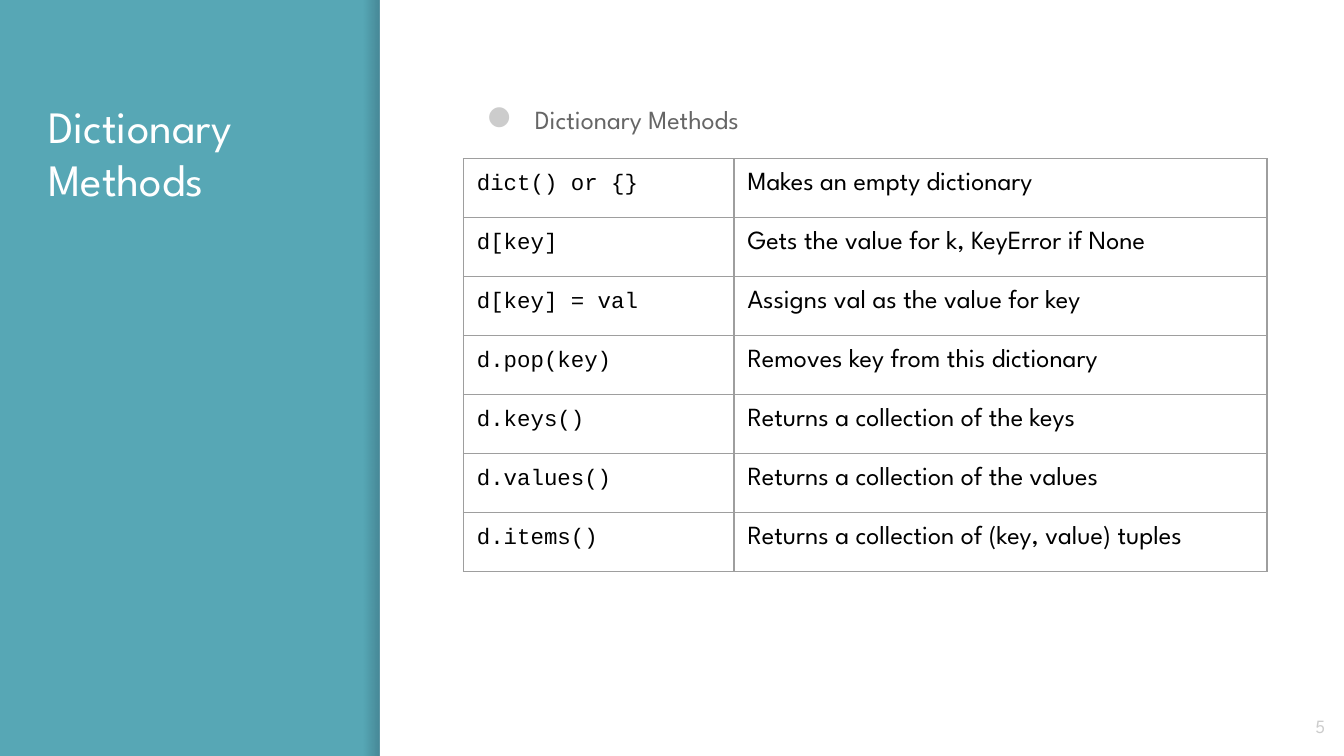
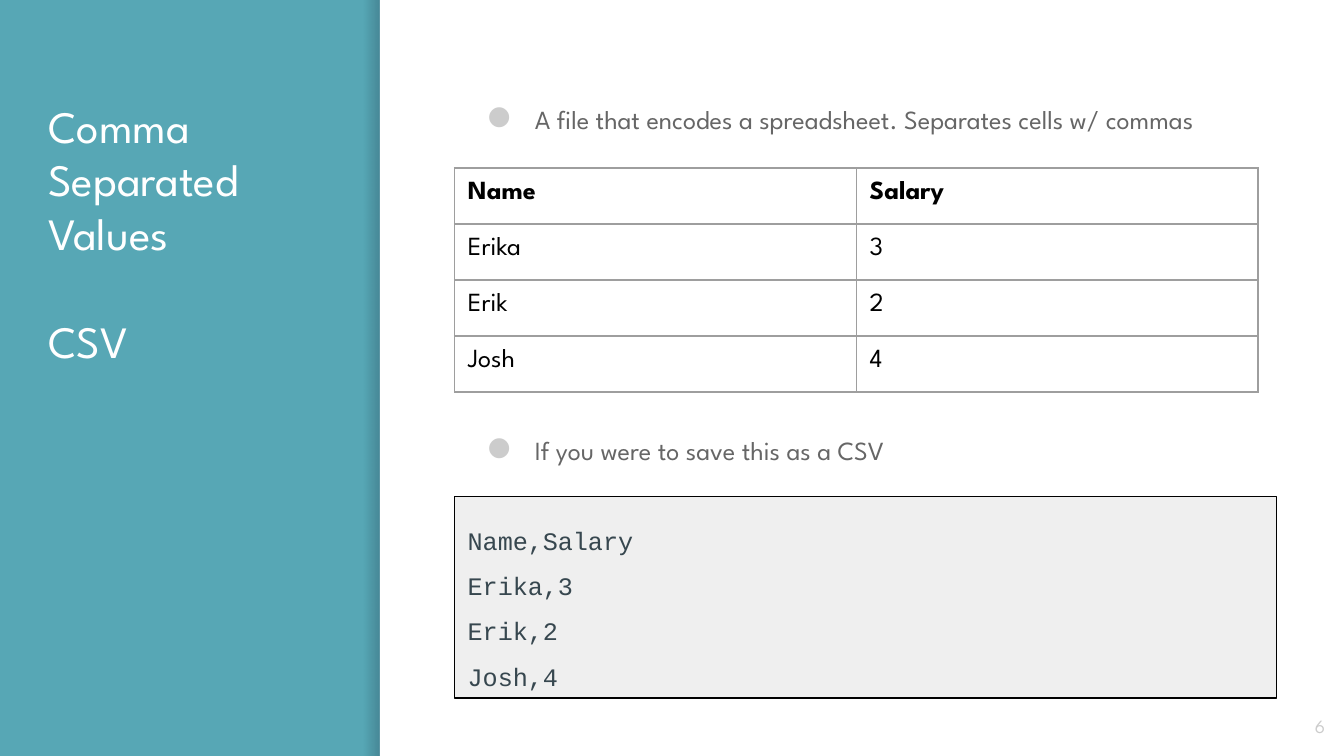
from pptx import Presentation
from pptx.dml.color import RGBColor
from pptx.enum.shapes import MSO_SHAPE
from pptx.enum.text import MSO_ANCHOR, MSO_AUTO_SIZE, PP_ALIGN
from pptx.oxml.ns import qn
from pptx.util import Pt
from lxml.etree import SubElement

TEAL = "57A7B5"
WHITE = "FFFFFF"
BLACK = "000000"
SHADE = "000014"
BODY_GREY = "666666"
PALE_GREY = "CCCCCC"
BORDER_GREY = "9E9E9E"
CODE_FILL = "EFEFEF"
CODE_TEXT = "37474F"

SANS = "League Spartan"
MONO = "Courier New"

SLIDE_WIDTH = 720
SLIDE_HEIGHT = 405
PANEL_LEFT = 203.5
SHADOW_WIDTH = 9
INSET = 7.2
CONTENT_LEFT = 243.5
CONTENT_TOP = 45.5
CONTENT_WIDTH = 440.5
CONTENT_HEIGHT = 313


def color(value):
    return RGBColor.from_string(value)


def style_text(para, size, shade, font=SANS, bold=False):
    for span in para.runs:
        span.font.name = font
        span.font.size = Pt(size)
        span.font.bold = bold
        span.font.color.rgb = color(shade)


def set_frame(frame, anchor=MSO_ANCHOR.TOP):
    frame.word_wrap = True
    frame.auto_size = MSO_AUTO_SIZE.NONE
    frame.vertical_anchor = anchor
    frame.margin_left = frame.margin_right = Pt(INSET)
    frame.margin_top = frame.margin_bottom = Pt(INSET)


def add_rectangle(page, left, top, width, height):
    box = page.shapes.add_shape(MSO_SHAPE.RECTANGLE, Pt(left), Pt(top), Pt(width), Pt(height))
    box.shadow.inherit = False
    box.line.fill.background()
    return box


def add_panel(page):
    shadow = add_rectangle(page, PANEL_LEFT - SHADOW_WIDTH, 0, SHADOW_WIDTH, SLIDE_HEIGHT)
    shadow.fill.gradient()
    shadow.fill.gradient_angle = 0
    for stop, opacity in zip(shadow.fill.gradient_stops, (0, 20)):
        stop.color.rgb = color(SHADE)
    for tint, opacity in zip(shadow._element.iter(qn("a:srgbClr")), (0, 20)):
        SubElement(tint, qn("a:alpha")).set("val", str(opacity * 1000))
    panel = add_rectangle(page, PANEL_LEFT, 0, SLIDE_WIDTH - PANEL_LEFT, SLIDE_HEIGHT)
    panel.fill.solid()
    panel.fill.fore_color.rgb = color(WHITE)


def set_title(page, lines):
    title = page.shapes.title
    title.left, title.top = Pt(18.75), Pt(CONTENT_TOP)
    title.width, title.height = Pt(161.25), Pt(CONTENT_HEIGHT)
    frame = title.text_frame
    set_frame(frame)
    frame.text = "\n".join(lines)
    for index, para in enumerate(frame.paragraphs):
        para.alignment = PP_ALIGN.LEFT
        para.line_spacing = 1.0
        para.space_before = Pt(29 if index else 0)
        style_text(para, 24, WHITE)


def add_page_number(page, number):
    box = page.shapes.add_textbox(Pt(674), Pt(373.5), Pt(43), Pt(31))
    set_frame(box.text_frame, MSO_ANCHOR.MIDDLE)
    box.text_frame.text = str(number)
    para = box.text_frame.paragraphs[0]
    para.alignment = PP_ALIGN.RIGHT
    style_text(para, 10, PALE_GREY)


def add_page(deck, title_lines, number):
    page = deck.slides.add_slide(deck.slide_layouts.get_by_name("Title Only"))
    add_panel(page)
    set_title(page, title_lines)
    add_page_number(page, number)
    return page


def add_bullet(para):
    properties = para._p.get_or_add_pPr()
    properties.set("marL", str(Pt(36)))
    properties.set("indent", str(-Pt(25.2)))
    tint = SubElement(properties, qn("a:buClr"))
    SubElement(tint, qn("a:srgbClr")).set("val", PALE_GREY)
    SubElement(properties, qn("a:buFont")).set("typeface", SANS)
    SubElement(properties, qn("a:buChar")).set("char", "●")


def add_bullets(page, lines, gap=0):
    box = page.shapes.add_textbox(
        Pt(CONTENT_LEFT), Pt(CONTENT_TOP), Pt(CONTENT_WIDTH), Pt(CONTENT_HEIGHT))
    set_frame(box.text_frame)
    box.text_frame.text = "\n".join(lines)
    for index, para in enumerate(box.text_frame.paragraphs):
        add_bullet(para)
        para.line_spacing = 1.15
        if index:
            para.space_before = Pt(gap)
        style_text(para, 14, BODY_GREY)


def set_borders(cell):
    properties = cell._tc.get_or_add_tcPr()
    for side in ("lnL", "lnR", "lnT", "lnB"):
        line = SubElement(properties, qn(f"a:{side}"), w=str(Pt(0.75)))
        fill = SubElement(line, qn("a:solidFill"))
        SubElement(fill, qn("a:srgbClr")).set("val", BORDER_GREY)


def add_grid(page, left, top, column_widths, row_height, rows, code_column=False, header=False):
    table = page.shapes.add_table(
        len(rows), len(column_widths), Pt(left), Pt(top),
        Pt(sum(column_widths)), Pt(row_height * len(rows))).table
    table.first_row = header
    table.horz_banding = False
    for column, width in zip(table.columns, column_widths):
        column.width = Pt(width)
    for row_index, values in enumerate(rows):
        table.rows[row_index].height = Pt(row_height)
        for column_index, value in enumerate(values):
            cell = table.cell(row_index, column_index)
            cell.margin_left = cell.margin_right = Pt(INSET)
            cell.margin_top = cell.margin_bottom = Pt(INSET)
            set_borders(cell)
            cell.fill.background()
            cell.text_frame.text = value
            is_code = code_column and column_index == 0
            style_text(cell.text_frame.paragraphs[0], 12 if is_code else 14, BLACK,
                       MONO if is_code else SANS, header and row_index == 0)


def add_code_box(page, top, height, lines):
    box = add_rectangle(page, CONTENT_LEFT, top, CONTENT_WIDTH, height)
    box.fill.solid()
    box.fill.fore_color.rgb = color(CODE_FILL)
    box.line.color.rgb = color(BLACK)
    box.line.width = Pt(0.75)
    set_frame(box.text_frame)
    box.text_frame.text = "\n".join(lines)
    for para in box.text_frame.paragraphs:
        para.alignment = PP_ALIGN.LEFT
        para.line_spacing = 1.5
        style_text(para, 13.5, CODE_TEXT, MONO)


def add_methods_page(deck):
    page = add_page(deck, ["Dictionary Methods"], 5)
    add_bullets(page, ["Dictionary Methods"])
    methods = [
        ("dict() or {}", "Makes an empty dictionary"),
        ("d[key]", "Gets the value for k, KeyError if None"),
        ("d[key] = val", "Assigns val as the value for key"),
        ("d.pop(key)", "Removes key from this dictionary"),
        ("d.keys()", "Returns a collection of the keys"),
        ("d.values()", "Returns a collection of the values"),
        ("d.items()", "Returns a collection of (key, value) tuples"),
    ]
    add_grid(page, 248.25, 85, (145, 285.5), 31.6, methods, code_column=True)


def add_csv_page(deck):
    page = add_page(deck, ["Comma Separated Values", "CSV"], 6)
    add_bullets(page, [
        "A file that encodes a spreadsheet. Separates cells w/ commas",
        "If you were to save this as a CSV",
    ], gap=158)
    salaries = [("Name", "Salary"), ("Erika", "3"), ("Erik", "2"), ("Josh", "4")]
    add_grid(page, CONTENT_LEFT, 90, (215.25, 215.25), 30, salaries, header=True)
    add_code_box(page, 266, 108, [",".join(row) for row in salaries])


def main():
    deck = Presentation()
    deck.slide_width = Pt(SLIDE_WIDTH)
    deck.slide_height = Pt(SLIDE_HEIGHT)
    background = deck.slide_master.background.fill
    background.solid()
    background.fore_color.rgb = color(TEAL)
    add_methods_page(deck)
    add_csv_page(deck)
    deck.save("out.pptx")


if __name__ == "__main__":
    main()
